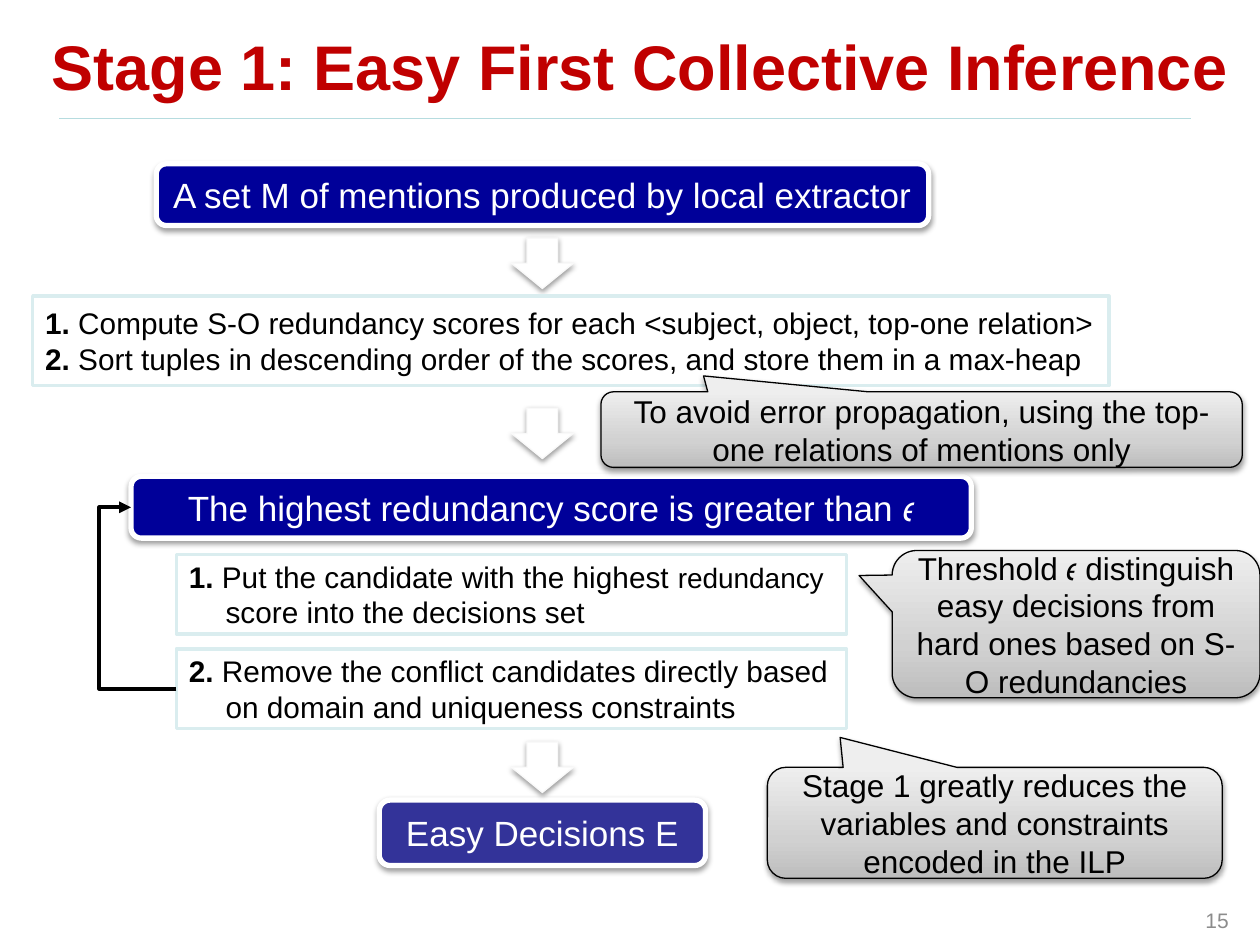
from lxml import etree
from copy import deepcopy
from pptx import Presentation
from pptx.dml.color import RGBColor as RGB
from pptx.enum.shapes import MSO_CONNECTOR as Link, MSO_SHAPE as Kind
from pptx.enum.text import MSO_ANCHOR as Anchor, MSO_AUTO_SIZE as Fit, PP_ALIGN as Align
from pptx.oxml.ns import qn
from pptx.util import Pt

HUES = {k: RGB.from_string(v) for k, v in {
    "white": "FFFFFF", "black": "000000", "navy": "000099", "indigo": "333399",
    "red": "C00000", "gray": "8C8C8C", "rule": "B6DCDF", "edge": "DAEDEF",
    "pale": "F9F9F9", "dark": "BDBDBD", "mid": "D1D1D1", "light": "EEEEEE",
}.items()}


def write(para, runs, size, hue):
    for text, bold, *own in runs:
        for i, part in enumerate(text.split("\n")):
            if i:
                para.add_line_break()
            run = para.add_run()
            run.text = part
            font = run.font
            font.name, font.size, font.bold = "Arial", Pt(own[0] if own else size), bold
            font.color.rgb = HUES[hue]


def draw(kind, frame, fill, line, width, shade=True):
    shape = slide.shapes.add_shape(kind, *map(Pt, frame))
    if fill == "grad":
        shape.fill.gradient()
        shape.fill.gradient_angle = 90
        stops = shape.fill.gradient_stops
        first = stops[0]._gs
        first.addnext(deepcopy(first))
        for stop, (place, hue) in zip(shape.fill.gradient_stops,
                                      ((0, "dark"), (0.35, "mid"), (1, "light"))):
            stop.position = place
            stop.color.rgb = HUES[hue]
    else:
        shape.fill.solid()
        shape.fill.fore_color.rgb = HUES[fill]
    shape.line.color.rgb = HUES[line]
    shape.line.width = Pt(width)
    shape.shadow.inherit = False
    if shade:
        glow = shape._element.spPr.find(qn("a:effectLst"))
        cast = etree.SubElement(glow, qn("a:outerShdw"), blurRad=str(Pt(3.1)),
                                dist=str(Pt(1.6)), dir="5400000", rotWithShape="0")
        tone = etree.SubElement(cast, qn("a:srgbClr"), val=str(HUES["black"]))
        etree.SubElement(tone, qn("a:alpha"), val="38000")
    shape.text_frame.word_wrap = True
    shape.text_frame.vertical_anchor = Anchor.MIDDLE
    return shape


deck = Presentation()
deck.slide_width, deck.slide_height = Pt(720), Pt(540)
slide = deck.slides.add_slide(deck.slide_layouts[5])

title = slide.shapes.title
title.left, title.top, title.width, title.height = map(Pt, (22.3, 5.8, 692, 62.6))
frame = title.text_frame
frame.auto_size, frame.word_wrap, frame.vertical_anchor = Fit.NONE, True, Anchor.MIDDLE
frame.paragraphs[0].alignment = Align.LEFT
write(frame.paragraphs[0], [("Stage 1: Easy First Collective Inference", True)], 36, "red")

rule = slide.shapes.add_connector(Link.STRAIGHT, Pt(33.8), Pt(67.7), Pt(680.4), Pt(67.7))
rule.line.color.rgb, rule.line.width = HUES["rule"], Pt(0.75)
etree.SubElement(rule._element.spPr, qn("a:effectLst"))

page = slide.shapes.add_textbox(Pt(547.2), Pt(511.2), Pt(162), Pt(28.8)).text_frame
page.word_wrap, page.vertical_anchor = True, Anchor.MIDDLE
page.paragraphs[0].alignment = Align.RIGHT
write(page.paragraphs[0], [("15", False)], 12, "gray")

for spot, fill, text in (
    ((89.3, 93.6, 441.4, 35.3), "navy", "A set M of mentions produced by local extractor"),
    ((74.9, 272.2, 480.2, 35.3), "navy", "The highest redundancy score is greater than 𝜖"),
    ((216.7, 457.2, 186.5, 37.4), "indigo", "Easy Decisions E"),
):
    para = draw(Kind.ROUNDED_RECTANGLE, spot, fill, "white", 3).text_frame.paragraphs[0]
    para.alignment = Align.CENTER
    write(para, [(text, False)], 20, "white")

for top in (136.1, 233.3, 424.1):
    draw(Kind.DOWN_ARROW, (292.3, top, 35.3, 28.8), "white", "pale", 0.75)

for spot, paras in (
    ((18.7, 169.2, 615, 51.1), (
        (0, 0, [("1. ", True),
                ("Compute S-O redundancy scores for each <subject, object, top-one relation>", False)]),
        (0, 0, [("2. ", True),
                ("Sort tuples in descending order of the scores, and store them in a max-heap", False)]))),
    ((100.8, 316.8, 383, 45.4), (
        (21, -21, [("1.", True), (" Put the candidate with the highest ", False),
                   ("redundancy ", False, 16), ("score into the decisions set", False)]),)),
    ((100.8, 370.8, 383, 45.4), (
        (0, 0, [("2. ", True), ("Remove the conflict candidates directly based", False)]),
        (21, 0, [("on domain and uniqueness constraints", False)]))),
):
    frame = draw(Kind.RECTANGLE, spot, "white", "edge", 2, False).text_frame
    for i, (left, hang, runs) in enumerate(paras):
        para = frame.add_paragraph() if i else frame.paragraphs[0]
        para.alignment = Align.LEFT
        props = para._p.get_or_add_pPr()
        props.set("marL", str(Pt(left)))
        props.set("indent", str(Pt(hang)))
        write(para, runs, 17, "black")

loop = slide.shapes.add_connector(Link.ELBOW, Pt(100.8), Pt(393.5), Pt(74.9), Pt(289.9))
loop.line.color.rgb, loop.line.width = HUES["black"], Pt(2.25)
etree.SubElement(loop.line._get_or_add_ln(), qn("a:tailEnd"), type="triangle")
form = loop._element.spPr
etree.SubElement(form, qn("a:effectLst"))
bend = form.find(qn("a:prstGeom")).find(qn("a:avLst"))
etree.SubElement(bend, qn("a:gd"), name="adj1", fmla="val 169800")

for spot, tip, text in (
    ((509.8, 314.6, 210.2, 84.2), (-0.59, -0.33),
     "Threshold 𝜖 distinguish\neasy decisions from hard ones based on S-O redundancies"),
    ((438.5, 438.5, 259.9, 63.4), (-0.34, -0.77),
     "Stage 1 greatly reduces the variables and constraints encoded in the ILP"),
    ((343.4, 223.9, 366.5, 43.2), (-0.34, -0.71),
     "To avoid error propagation, using the top-one relations of mentions only"),
):
    note = draw(Kind.ROUNDED_RECTANGULAR_CALLOUT, spot, "grad", "black", 0.75)
    note.adjustments[0], note.adjustments[1] = tip
    para = note.text_frame.paragraphs[0]
    para.alignment = Align.CENTER
    write(para, [(text, False)], 18, "black")

deck.save("out.pptx")
